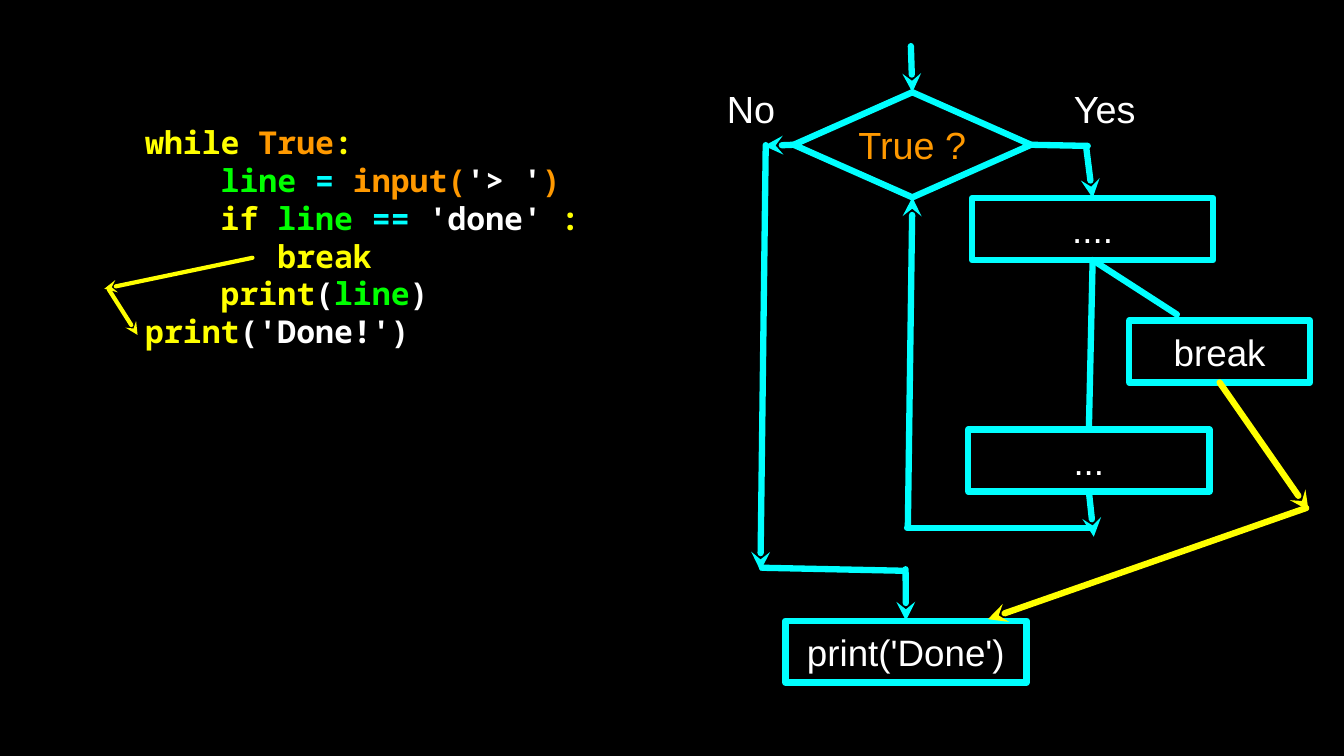
from pptx import Presentation
from pptx.dml.color import RGBColor
from pptx.enum.shapes import MSO_CONNECTOR, MSO_SHAPE
from pptx.enum.text import MSO_ANCHOR, PP_ALIGN
from pptx.oxml.ns import qn
from pptx.util import Inches, Pt
from lxml.etree import SubElement

BLACK = RGBColor(0x00, 0x00, 0x00)
WHITE = RGBColor(0xFF, 0xFF, 0xFF)
CYAN = RGBColor(0x00, 0xFF, 0xFF)
YELLOW = RGBColor(0xFF, 0xFF, 0x00)
ORANGE = RGBColor(0xFF, 0x99, 0x00)
GREEN = RGBColor(0x00, 0xFF, 0x00)

TOP, LEFT, BOTTOM, RIGHT = range(4)
CHAR_WIDTH = 0.25  # one monospaced character at 30 pt, in inches

# Code lines: indent in characters, then coloured runs
CODE_AREA = (1.92, 1.31, 7.17, 3.64)
CODE = [
    (0, [("while ", YELLOW), ("True", ORANGE), (":", YELLOW)]),
    (4, [("line ", GREEN), ("= ", CYAN), ("input(", ORANGE), ("'> '", WHITE), (")", ORANGE)]),
    (4, [("if ", YELLOW), ("line ", GREEN), ("== ", CYAN), ("'done'", WHITE), (" :", YELLOW)]),
    (7, [("break", YELLOW)]),
    (4, [("print", YELLOW), ("(", WHITE), ("line", GREEN), (")", WHITE)]),
    (0, [("print", YELLOW), ("('Done!')", WHITE)]),
]

# Flowchart nodes: preset, area, label, size, colour
NODES = {
    "test": (MSO_SHAPE.DIAMOND, (10.5, 1.22, 3.14, 1.39), "True ?", 36, ORANGE),
    "first step": (MSO_SHAPE.RECTANGLE, (12.86, 2.62, 3.19, 0.82), "....", 35, WHITE),
    "break": (MSO_SHAPE.RECTANGLE, (14.94, 4.24, 2.39, 0.82), "break", 35, WHITE),
    "last step": (MSO_SHAPE.RECTANGLE, (12.81, 5.68, 3.19, 0.82), "...", 35, WHITE),
    "done": (MSO_SHAPE.RECTANGLE, (10.39, 8.21, 3.19, 0.82), "print('Done')", 35, WHITE),
}
BRANCH_LABELS = [("No", (9.54, 1.1, 0.79, 0.68)), ("Yes", (14.04, 1.1, 1.15, 0.68))]

# Lines: start, end, arrow at the end, colour, width.
# An end is a point or a (node, side) pair.
LINES = [
    ((12.05, 0.61), ("test", TOP), True, CYAN, 6),
    # yes branch and loop back
    (("test", RIGHT), (14.39, 1.93), False, CYAN, 6),
    ((14.37, 1.95), ("first step", TOP), True, CYAN, 6),
    (("first step", BOTTOM), ("last step", TOP), False, CYAN, 6),
    (("last step", BOTTOM), (14.47, 7.1), True, CYAN, 6),
    ((14.43, 6.98), (12, 6.98), False, CYAN, 6),
    ((12.01, 6.98), ("test", BOTTOM), True, CYAN, 6),
    # no branch
    (("test", LEFT), (10.11, 1.93), True, CYAN, 6),
    ((10.13, 1.92), (10.06, 7.55), True, CYAN, 6),
    ((10.08, 7.51), (11.96, 7.55), False, CYAN, 6),
    ((11.98, 7.53), ("done", TOP), True, CYAN, 6),
    # break out of the loop
    (("first step", BOTTOM), (15.57, 4.16), False, CYAN, 6),
    (("break", BOTTOM), (17.31, 6.75), True, YELLOW, 6),
    ((17.28, 6.72), (13.07, 8.19), True, YELLOW, 6),
    # jump beside the code
    ((3.34, 3.41), (1.38, 3.82), True, YELLOW, 4),
    ((1.44, 3.83), (1.82, 4.43), True, YELLOW, 4),
]


def style_line(shape, color, width, arrow=False):
    shape.line.color.rgb = color
    shape.line.width = Pt(width)
    ln = shape.line._get_or_add_ln()
    ln.set("cap", "rnd")
    SubElement(ln, qn("a:round"))
    if arrow:
        SubElement(ln, qn("a:tailEnd"), type="stealth")


def prepare_frame(shape, wrap=True):
    frame = shape.text_frame
    frame.word_wrap = wrap
    frame.vertical_anchor = MSO_ANCHOR.MIDDLE
    frame.margin_left = frame.margin_right = 0
    frame.margin_top = frame.margin_bottom = 0
    return frame


def add_run(paragraph, text, font, size, color, bold=False):
    run = paragraph.add_run()
    run.text = text
    run.font.name = font
    run.font.size = Pt(size)
    run.font.bold = bold
    run.font.color.rgb = color


def add_label(shape, text, size, color):
    paragraph = prepare_frame(shape, wrap=False).paragraphs[0]
    paragraph.alignment = PP_ALIGN.CENTER
    add_run(paragraph, text, "Arial", size, color)


def add_node(slide, preset, area, text, size, color):
    node = slide.shapes.add_shape(preset, *map(Inches, area))
    node.shadow.inherit = False
    node.fill.background()
    style_line(node, CYAN, 6)
    add_label(node, text, size, color)
    return node


def add_line(slide, nodes, start, end, arrow, color, width):
    joins = [spot if spot[0] in nodes else None for spot in (start, end)]
    points = [(0, 0) if join else spot for join, spot in zip(joins, (start, end))]
    line = slide.shapes.add_connector(
        MSO_CONNECTOR.STRAIGHT, *(Inches(v) for point in points for v in point))
    for join, connect in zip(joins, (line.begin_connect, line.end_connect)):
        if join:
            connect(nodes[join[0]], join[1])
    style_line(line, color, width, arrow)
    SubElement(line._element.spPr, qn("a:effectLst"))


def add_code(slide):
    frame = prepare_frame(slide.shapes.add_textbox(*map(Inches, CODE_AREA)))
    for number, (indent, runs) in enumerate(CODE):
        paragraph = frame.add_paragraph() if number else frame.paragraphs[0]
        paragraph.line_spacing = Pt(36)
        paragraph._p.get_or_add_pPr().set("marL", str(Inches(indent * CHAR_WIDTH)))
        for text, color in runs:
            add_run(paragraph, text, "Noto Sans Mono", 30, color, bold=True)


def main():
    prs = Presentation()
    prs.slide_width, prs.slide_height = Inches(17.78), Inches(10)
    slide = prs.slides.add_slide(prs.slide_layouts[6])
    slide.background.fill.solid()
    slide.background.fill.fore_color.rgb = BLACK

    add_code(slide)
    nodes = {key: add_node(slide, *node) for key, node in NODES.items()}
    for text, area in BRANCH_LABELS:
        add_label(slide.shapes.add_textbox(*map(Inches, area)), text, 36, WHITE)
    for line in LINES:
        add_line(slide, nodes, *line)
    prs.save("out.pptx")


if __name__ == "__main__":
    main()
